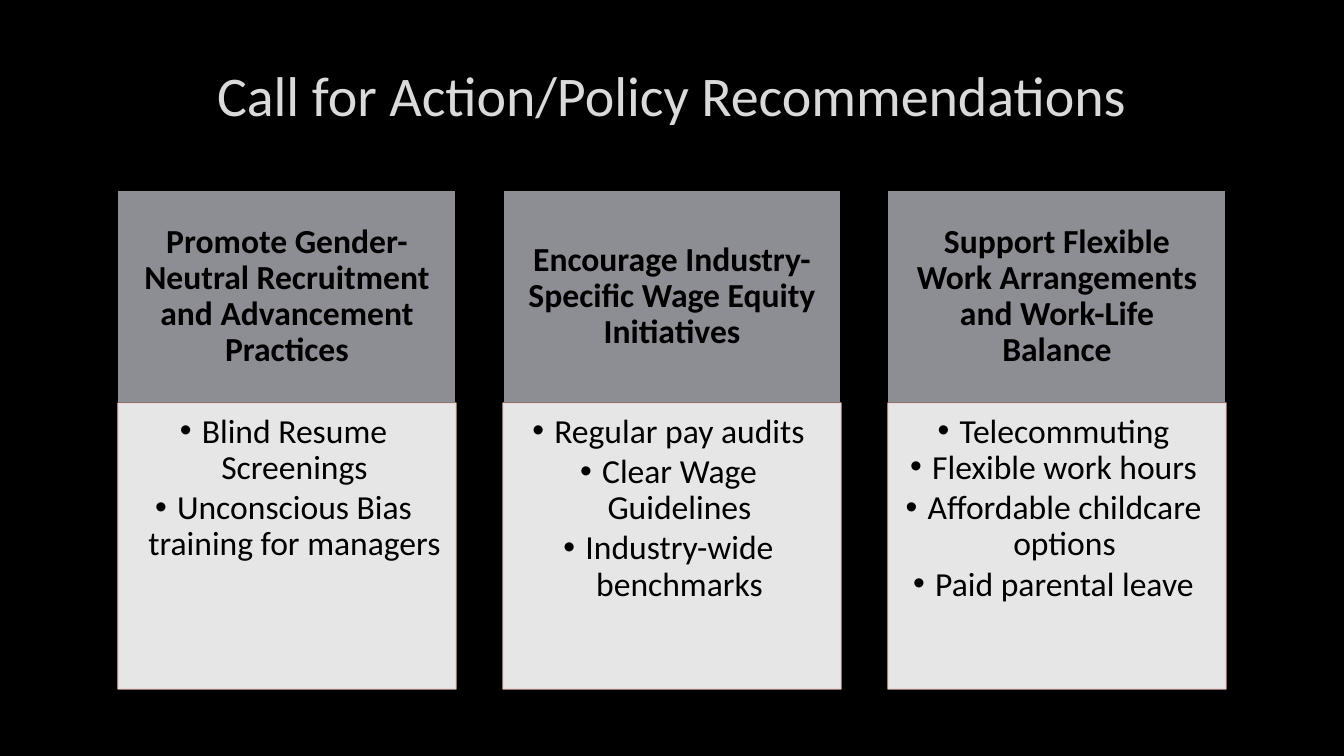
from lxml.etree import SubElement
from pptx import Presentation
from pptx.dml.color import RGBColor
from pptx.enum.shapes import MSO_SHAPE as Shape
from pptx.enum.text import MSO_ANCHOR as Anchor, PP_ALIGN as Align
from pptx.oxml.ns import qn
from pptx.util import Emu, Pt

EMU_PER_PX = 914400 / 100.8
FONT = "Calibri"
COLORS = {
    "background": "000000",
    "title": "DADADA",
    "header": "8D8D94",
    "panel": "FFFFFF",
    "panel_line": "EFCECA",
    "text": "000000",
}
COLUMN_LEFT, COLUMN_PITCH, COLUMN_WIDTH = 118, 385, 338
HEADER_TOP, HEADER_HEIGHT, PANEL_HEIGHT = 190, 213, 286
ITEM_GAP = 2.9
RECOMMENDATIONS = [
    ("Promote Gender-Neutral Recruitment and Advancement Practices",
     [("Blind Resume Screenings", 0),
      ("Unconscious Bias training for managers", ITEM_GAP)]),
    ("Encourage Industry-Specific Wage Equity Initiatives",
     [("Regular pay audits", 0),
      ("Clear Wage Guidelines", ITEM_GAP),
      ("Industry-wide benchmarks", ITEM_GAP)]),
    ("Support Flexible Work Arrangements and Work-Life Balance",
     [("Telecommuting", 0),
      ("Flexible work hours", 0),
      ("Affordable childcare options", ITEM_GAP),
      ("Paid parental leave", ITEM_GAP)]),
]


def px(length):
    return Emu(round(length * EMU_PER_PX))


def color(name):
    return RGBColor.from_string(COLORS[name])


def set_frame(shape, insets, anchor):
    frame = shape.text_frame
    frame.word_wrap = True
    frame.vertical_anchor = anchor
    (frame.margin_left, frame.margin_top,
     frame.margin_right, frame.margin_bottom) = map(px, insets)
    return frame


def write(paragraph, text, size=24, fill="text", bold=False, gap=0):
    paragraph.alignment = Align.CENTER
    paragraph.line_spacing = 0.9
    paragraph.space_before = Pt(gap)
    run = paragraph.add_run()
    run.text = text
    run.font.name = FONT
    run.font.size = Pt(size)
    run.font.bold = bold
    run.font.color.rgb = color(fill)


def add_bullet(paragraph, indent=19, hanging=22):
    properties = paragraph._p.get_or_add_pPr()
    properties.set("marL", str(px(indent)))
    properties.set("indent", str(px(-hanging)))
    bullet_color = SubElement(properties, qn("a:buClr"))
    SubElement(bullet_color, qn("a:srgbClr"), val=COLORS["text"])
    SubElement(properties, qn("a:buFont"), typeface="Arial")
    SubElement(properties, qn("a:buChar"), char="•")


def set_opacity(shape, percent):
    for value in shape._element.spPr.iter(qn("a:srgbClr")):
        SubElement(value, qn("a:alpha"), val=str(percent * 1000))


def add_box(slide, left, top, height, fill, line, line_width):
    shape = slide.shapes.add_shape(
        Shape.RECTANGLE, px(left), px(top), px(COLUMN_WIDTH), px(height))
    shape.shadow.inherit = False
    shape.fill.solid()
    shape.fill.fore_color.rgb = color(fill)
    shape.line.color.rgb = color(line)
    shape.line.width = Pt(line_width)
    return shape


def add_title(slide, text):
    box = slide.shapes.add_textbox(px(101), px(45), px(1141), px(107))
    frame = set_frame(box, (10, 5, 10, 5), Anchor.MIDDLE)
    write(frame.paragraphs[0], text, size=40, fill="title")


def add_header(slide, left, text):
    box = add_box(slide, left, HEADER_TOP, HEADER_HEIGHT,
                  "header", "background", 0.75)
    frame = set_frame(box, (15, 8, 15, 8), Anchor.MIDDLE)
    write(frame.paragraphs[0], text, bold=True)


def add_panel(slide, left, items):
    box = add_box(slide, left, HEADER_TOP + HEADER_HEIGHT, PANEL_HEIGHT,
                  "panel", "panel_line", 1)
    set_opacity(box, 90)
    frame = set_frame(box, (11, 11, 15, 17), Anchor.TOP)
    for index, (text, gap) in enumerate(items):
        paragraph = frame.add_paragraph() if index else frame.paragraphs[0]
        write(paragraph, text, gap=gap)
        add_bullet(paragraph)


def main():
    presentation = Presentation()
    presentation.slide_width = px(1344)
    presentation.slide_height = px(756)
    slide = presentation.slides.add_slide(presentation.slide_layouts[6])
    slide.background.fill.solid()
    slide.background.fill.fore_color.rgb = color("background")
    add_title(slide, "Call for Action/Policy Recommendations")
    for index, (heading, items) in enumerate(RECOMMENDATIONS):
        left = COLUMN_LEFT + index * COLUMN_PITCH
        add_header(slide, left, heading)
        add_panel(slide, left, items)
    presentation.save("out.pptx")


if __name__ == "__main__":
    main()
